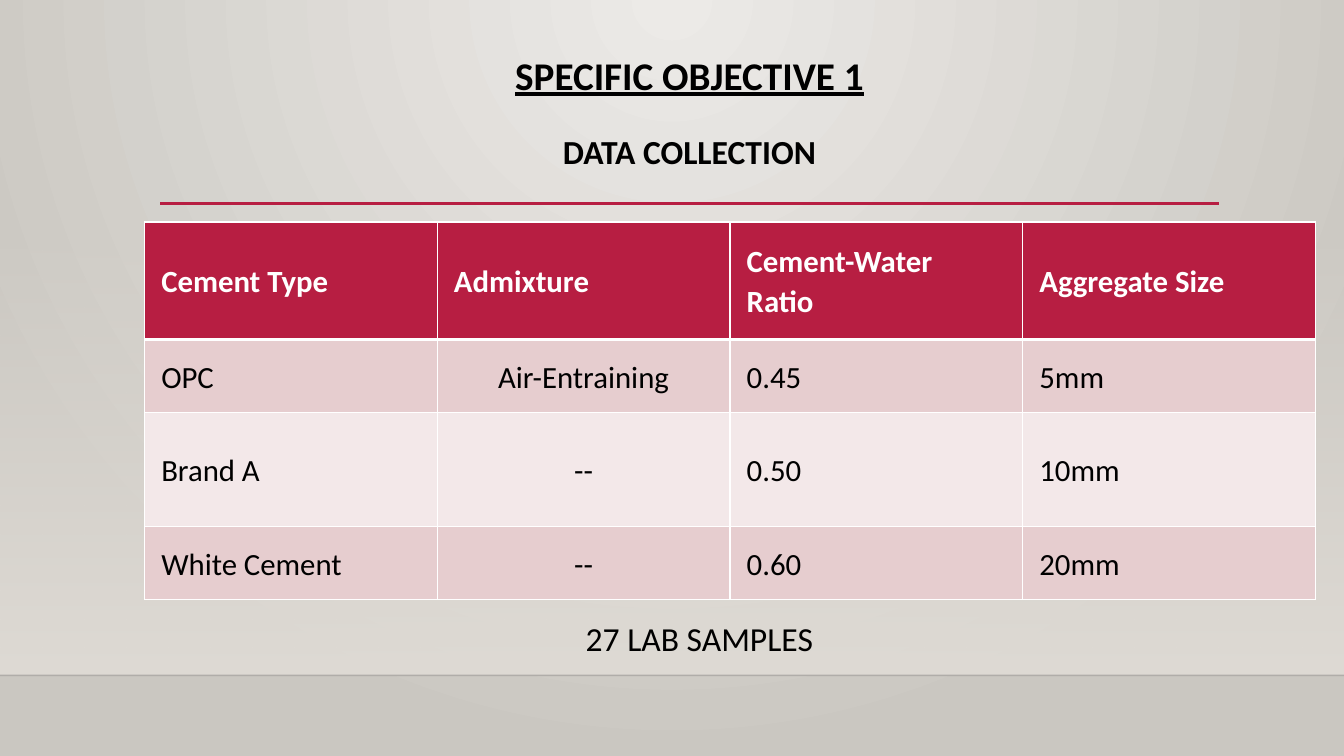
"""Build the data collection slide for specific objective 1."""
from dataclasses import dataclass

from lxml import etree
from pptx import Presentation
from pptx.dml.color import RGBColor
from pptx.enum.shapes import MSO_CONNECTOR, MSO_SHAPE
from pptx.enum.text import MSO_ANCHOR, MSO_AUTO_SIZE, PP_ALIGN
from pptx.oxml.ns import qn
from pptx.util import Pt

STRAIGHT = MSO_CONNECTOR.STRAIGHT
RECTANGLE = MSO_SHAPE.RECTANGLE
TOP, MIDDLE = MSO_ANCHOR.TOP, MSO_ANCHOR.MIDDLE
LEFT, CENTER = PP_ALIGN.LEFT, PP_ALIGN.CENTER
FIT_SHAPE, NO_FIT = MSO_AUTO_SIZE.SHAPE_TO_FIT_TEXT, MSO_AUTO_SIZE.NONE

FONT = "Calibri"
COLORS = {
    "black": "000000",
    "white": "FFFFFF",
    "crimson": "B71E42",
    "pink": "E6CDCF",
    "pale": "F3E8E9",
    "floor": "000001",
    "glow": "ECEAE7",
    "stone": "CAC7C1",
    "wall": "DFDBD5",
}
WIDTH, HEIGHT = 960, 540
FLOOR_TOP = 482.4
WALL_TOP = 159.1
COLUMN_WIDTH = 209.1


@dataclass(frozen=True)
class Rule:
    """A horizontal line across part of the slide."""
    left: float
    right: float
    top: float
    weight: float
    color: str
    opacity: int = 100


@dataclass(frozen=True)
class Row:
    """One table row with its look."""
    texts: tuple[str, ...]
    height: float
    fill: str
    header: bool = False


RULES = (
    Rule(0, WIDTH, FLOOR_TOP, 1, "floor", 20),
    Rule(114.5, 871, 145.3, 2.5, "crimson"),
)
ROWS = (
    Row(("Cement Type", "Admixture", "Cement-Water Ratio", "Aggregate Size"), 84, "crimson", True),
    Row(("OPC", "Air-Entraining", "0.45", "5mm"), 50.4, "pink"),
    Row(("Brand A", "--", "0.50", "10mm"), 81.4, "pale"),
    Row(("White Cement", "--", "0.60", "20mm"), 50.4, "pink"),
)


def rgb(name: str) -> RGBColor:
    """Return a named colour."""
    return RGBColor.from_string(COLORS[name])


def set_alpha(element, percent: int) -> None:
    """Give the first colour inside an element an opacity."""
    color = element.find(".//" + qn("a:srgbClr"))
    etree.SubElement(color, qn("a:alpha"), val=str(percent * 1000))


def style_paragraph(para, size: float, color: str = "black", bold: bool = False,
                    underline: bool = False, align=CENTER, spacing: float = 1.0) -> None:
    """Format a paragraph and its runs."""
    para.alignment = align
    para.line_spacing = spacing
    for span in para.runs:
        font = span.font
        font.name, font.size = FONT, Pt(size)
        font.bold, font.underline = bold, underline
        font.color.rgb = rgb(color)


def set_gradient(fill, start: str, end: str) -> None:
    """Apply a two-colour gradient."""
    fill.gradient()
    for stop, name, position in zip(fill.gradient_stops, (start, end), (0, 1)):
        stop.color.rgb = rgb(name)
        stop.position = position


def paint_background(slide) -> None:
    """Paint the circular glow and the wall fading in above the floor."""
    set_gradient(slide.background.fill, "glow", "stone")
    gradient = slide.element.find(".//" + qn("a:gradFill"))
    gradient.remove(gradient.find(qn("a:lin")))
    circle = etree.Element(qn("a:path"), {"path": "circle"})
    etree.SubElement(circle, qn("a:fillToRect"), l="43000", t="0", r="43000", b="100000")
    gradient.find(qn("a:gsLst")).addnext(circle)

    wall = slide.shapes.add_shape(RECTANGLE, 0, Pt(WALL_TOP), Pt(WIDTH), Pt(FLOOR_TOP - WALL_TOP))
    wall.shadow.inherit = False
    wall.line.fill.background()
    set_gradient(wall.fill, "wall", "wall")
    wall.fill.gradient_angle = 270
    set_alpha(wall.element.find(".//" + qn("a:gs")), 0)


def draw_rule(slide, rule: Rule) -> None:
    """Draw a horizontal line."""
    line = slide.shapes.add_connector(
        STRAIGHT, Pt(rule.left), Pt(rule.top), Pt(rule.right), Pt(rule.top))
    line.line.width = Pt(rule.weight)
    line.line.color.rgb = rgb(rule.color)
    properties = line.element.spPr
    if rule.opacity < 100:
        set_alpha(properties, rule.opacity)
    etree.SubElement(properties, qn("a:effectLst"))


def write_title(slide) -> None:
    """Place and format the two-line title."""
    title = slide.shapes.title
    title.left, title.top, title.width, title.height = Pt(114.5), Pt(36.7), Pt(756), Pt(109.4)
    frame = title.text_frame
    frame.text = "SPECIFIC OBJECTIVE 1\nDATA COLLECTION"
    frame.word_wrap, frame.auto_size, frame.vertical_anchor = True, NO_FIT, TOP
    heading, subheading = frame.paragraphs
    style_paragraph(heading, 28, bold=True, underline=True, spacing=0.9)
    style_paragraph(subheading, 24, bold=True, spacing=0.9)
    heading.space_before = Pt(0)
    subheading.space_before = Pt(26)


def write_sample_count(slide) -> None:
    """Add the line below the table."""
    box = slide.shapes.add_textbox(Pt(81.4), Pt(437.8), Pt(4 * COLUMN_WIDTH), Pt(36))
    frame = box.text_frame
    frame.text = "27 LAB SAMPLES"
    frame.word_wrap, frame.auto_size = True, FIT_SHAPE
    style_paragraph(frame.paragraphs[0], 24)


def add_borders(cell, row_index: int) -> None:
    """Add white borders, thick between the header and the body."""
    properties = cell._tc.get_or_add_tcPr()
    for edge in ("lnL", "lnR", "lnT", "lnB"):
        weight = 3 if (edge, row_index) in (("lnB", 0), ("lnT", 1)) else 1
        border = etree.SubElement(properties, qn("a:" + edge), w=str(Pt(weight)))
        fill = etree.SubElement(border, qn("a:solidFill"))
        etree.SubElement(fill, qn("a:srgbClr"), val=COLORS["white"])


def draw_table(slide, rows: tuple[Row, ...]) -> None:
    """Draw the table of sample variables."""
    count = len(rows[0].texts)
    table = slide.shapes.add_table(
        len(rows), count, Pt(103.2), Pt(158.6), Pt(count * COLUMN_WIDTH),
        Pt(sum(row.height for row in rows))).table
    for column in table.columns:
        column.width = Pt(COLUMN_WIDTH)
    for row_index, row in enumerate(rows):
        table.rows[row_index].height = Pt(row.height)
        for column_index, text in enumerate(row.texts):
            cell = table.cell(row_index, column_index)
            add_borders(cell, row_index)
            cell.fill.solid()
            cell.fill.fore_color.rgb = rgb(row.fill)
            cell.vertical_anchor = MIDDLE
            cell.margin_left = cell.margin_right = Pt(12)
            cell.margin_top = cell.margin_bottom = Pt(13.5 if row.header else 12)
            cell.text_frame.text = text
            centered = column_index == 1 and not row.header
            style_paragraph(cell.text_frame.paragraphs[0], 22,
                            "white" if row.header else "black", bold=row.header,
                            align=CENTER if centered else LEFT, spacing=1.07)


def main() -> None:
    """Build and save the deck."""
    deck = Presentation()
    deck.slide_width, deck.slide_height = Pt(WIDTH), Pt(HEIGHT)
    page = deck.slides.add_slide(deck.slide_layouts[5])
    paint_background(page)
    for rule in RULES:
        draw_rule(page, rule)
    write_title(page)
    write_sample_count(page)
    draw_table(page, ROWS)
    deck.save("out.pptx")


if __name__ == "__main__":
    main()
